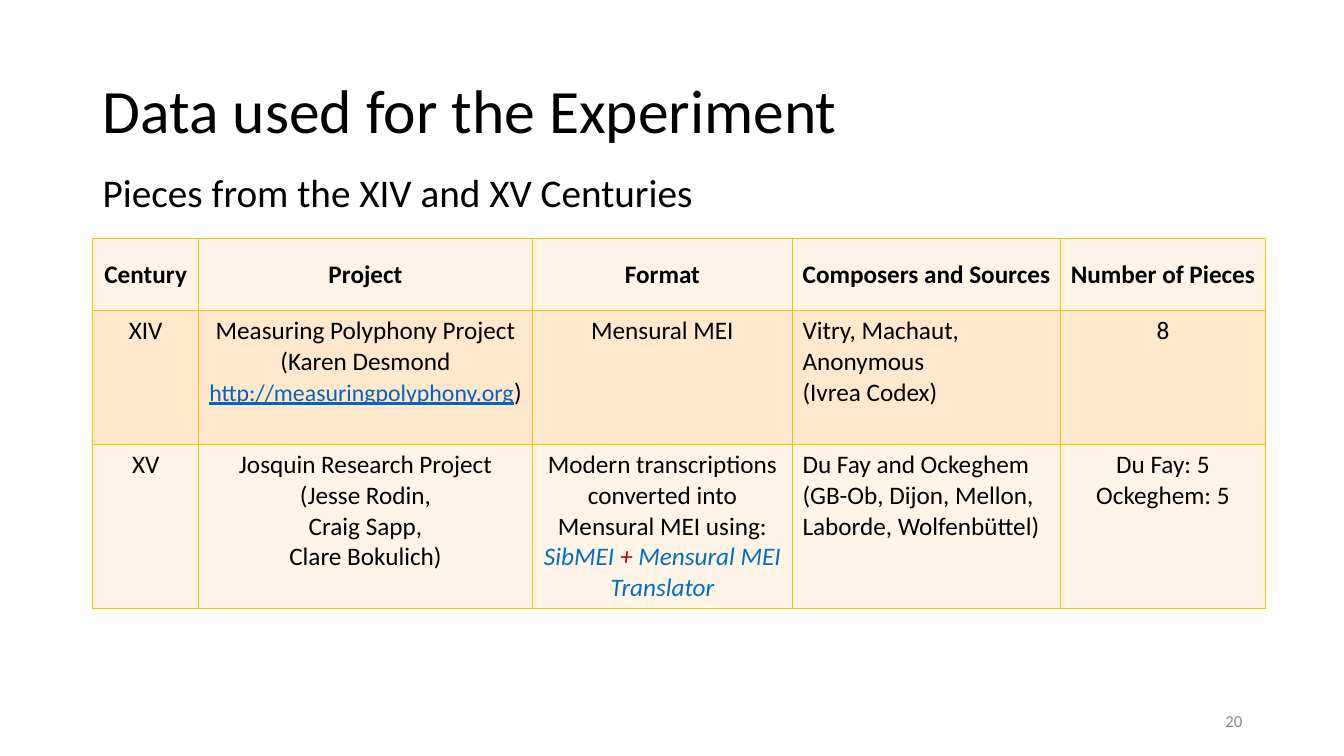
from dataclasses import dataclass

from lxml import etree
from pptx import Presentation
from pptx import util as u
from pptx.dml.color import RGBColor
from pptx.enum import text
from pptx.oxml.ns import qn


@dataclass(frozen=True)
class Theme:
    font: str = "Calibri"
    ink: str = "000000"
    muted: str = "8C8C8C"
    link: str = "0563C1"
    tool: str = "0070C0"
    plus: str = "C00000"
    border: str = "FFC000"
    light: str = "FFF4E7"
    dark: str = "FFE8CC"
    title_size: int = 44
    subtitle_size: int = 28
    table_size: int = 18
    link_size: int = 17
    number_size: int = 12


THEME = Theme()
CENTER, LEFT, RIGHT = text.PP_ALIGN.CENTER, text.PP_ALIGN.LEFT, text.PP_ALIGN.RIGHT
TOP, MIDDLE = text.MSO_ANCHOR.TOP, text.MSO_ANCHOR.MIDDLE

COLUMN_WIDTHS = [1.05, 3.31, 2.58, 2.66, 2.03]
ROW_HEIGHTS = [0.71, 1.33, 1.63]
SOURCES_COLUMN = 3

# A cell is a list of paragraphs; a paragraph is a list of (text, style) runs.
LINK = {"size": THEME.link_size, "color": THEME.link, "underline": True}
TOOL = {"color": THEME.tool, "italic": True}
PLUS = {"color": THEME.plus, "italic": True}


def plain(*lines, **style):
    return [[(line, style)] for line in lines]


HEADINGS = ["Century", "Project", "Format", "Composers and Sources", "Number of Pieces"]
ROWS = [
    [plain(heading, bold=True) for heading in HEADINGS],
    [
        plain("XIV"),
        plain("Measuring Polyphony Project", "(Karen Desmond")
        + [[("http://measuringpolyphony.org", LINK), (")", {})]],
        plain("Mensural MEI"),
        plain("Vitry, Machaut, Anonymous", "(Ivrea Codex)"),
        plain("8"),
    ],
    [
        plain("XV"),
        plain("Josquin Research Project", "(Jesse Rodin,", "Craig Sapp,", "Clare Bokulich)"),
        plain("Modern transcriptions converted into Mensural MEI using:")
        + [[("SibMEI ", TOOL), ("+ ", PLUS), ("Mensural MEI Translator", TOOL)]],
        plain("Du Fay and Ockeghem", "(GB-Ob, Dijon, Mellon, Laborde, Wolfenbüttel)"),
        plain("Du Fay: 5", "Ockeghem: 5"),
    ],
]


def add_span(para, words, size=THEME.table_size, color=THEME.ink,
             bold=False, italic=False, underline=False):
    span = para.add_run()
    span.text = words
    font = span.font
    font.name, font.size = THEME.font, u.Pt(size)
    font.bold, font.italic, font.underline = bold, italic, underline
    font.color.rgb = RGBColor.from_string(color)


def add_line(page, box, words, align=LEFT, anchor=TOP, spacing=1.0, **style):
    """Place a text box holding one paragraph."""
    frame = page.shapes.add_textbox(*map(u.Inches, box)).text_frame
    frame.word_wrap = True
    frame.vertical_anchor = anchor
    para = frame.paragraphs[0]
    para.alignment, para.line_spacing = align, spacing
    add_span(para, words, **style)


def set_borders(cell):
    properties = cell._tc.get_or_add_tcPr()
    for side in ("lnL", "lnR", "lnT", "lnB"):
        line = etree.SubElement(properties, qn(f"a:{side}"), w=str(u.Pt(1)))
        fill = etree.SubElement(line, qn("a:solidFill"))
        etree.SubElement(fill, qn("a:srgbClr"), val=THEME.border)


def fill_cell(cell, paragraphs, align, anchor, color):
    set_borders(cell)
    cell.fill.solid()
    cell.fill.fore_color.rgb = RGBColor.from_string(color)
    cell.vertical_anchor = anchor
    frame = cell.text_frame
    for index, spans in enumerate(paragraphs):
        para = frame.add_paragraph() if index else frame.paragraphs[0]
        para.alignment = align
        for words, style in spans:
            add_span(para, words, **style)


def add_pieces_table(page, left, top):
    size = sum(COLUMN_WIDTHS), sum(ROW_HEIGHTS)
    table = page.shapes.add_table(
        len(ROWS), len(COLUMN_WIDTHS), *map(u.Inches, (left, top, *size))
    ).table
    for column, width in zip(table.columns, COLUMN_WIDTHS):
        column.width = u.Inches(width)
    for row, height in zip(table.rows, ROW_HEIGHTS):
        row.height = u.Inches(height)
    for r, row in enumerate(ROWS):
        for c, paragraphs in enumerate(row):
            align = LEFT if r and c == SOURCES_COLUMN else CENTER
            anchor = TOP if r else MIDDLE
            color = THEME.dark if r % 2 else THEME.light
            fill_cell(table.cell(r, c), paragraphs, align, anchor, color)


def add_heading(page, left, top, width):
    add_line(page, (left, top, width, 1.45), "Data used for the Experiment",
             anchor=MIDDLE, spacing=0.9, size=THEME.title_size)
    add_line(page, (left, top + 1.27, width, 0.61), "Pieces from the XIV and XV Centuries",
             spacing=0.9, size=THEME.subtitle_size)


def add_page_number(page, box):
    add_line(page, box, "20", align=RIGHT, anchor=MIDDLE,
             size=THEME.number_size, color=THEME.muted)


def main():
    deck = Presentation()
    deck.slide_width, deck.slide_height = u.Inches(13.33), u.Inches(7.5)
    page = deck.slides.add_slide(deck.slide_layouts[6])
    add_heading(page, 0.92, 0.4, 11.5)
    add_pieces_table(page, 0.92, 2.37)
    add_page_number(page, (9.42, 6.95, 3, 0.4))
    deck.save("out.pptx")


if __name__ == "__main__":
    main()
